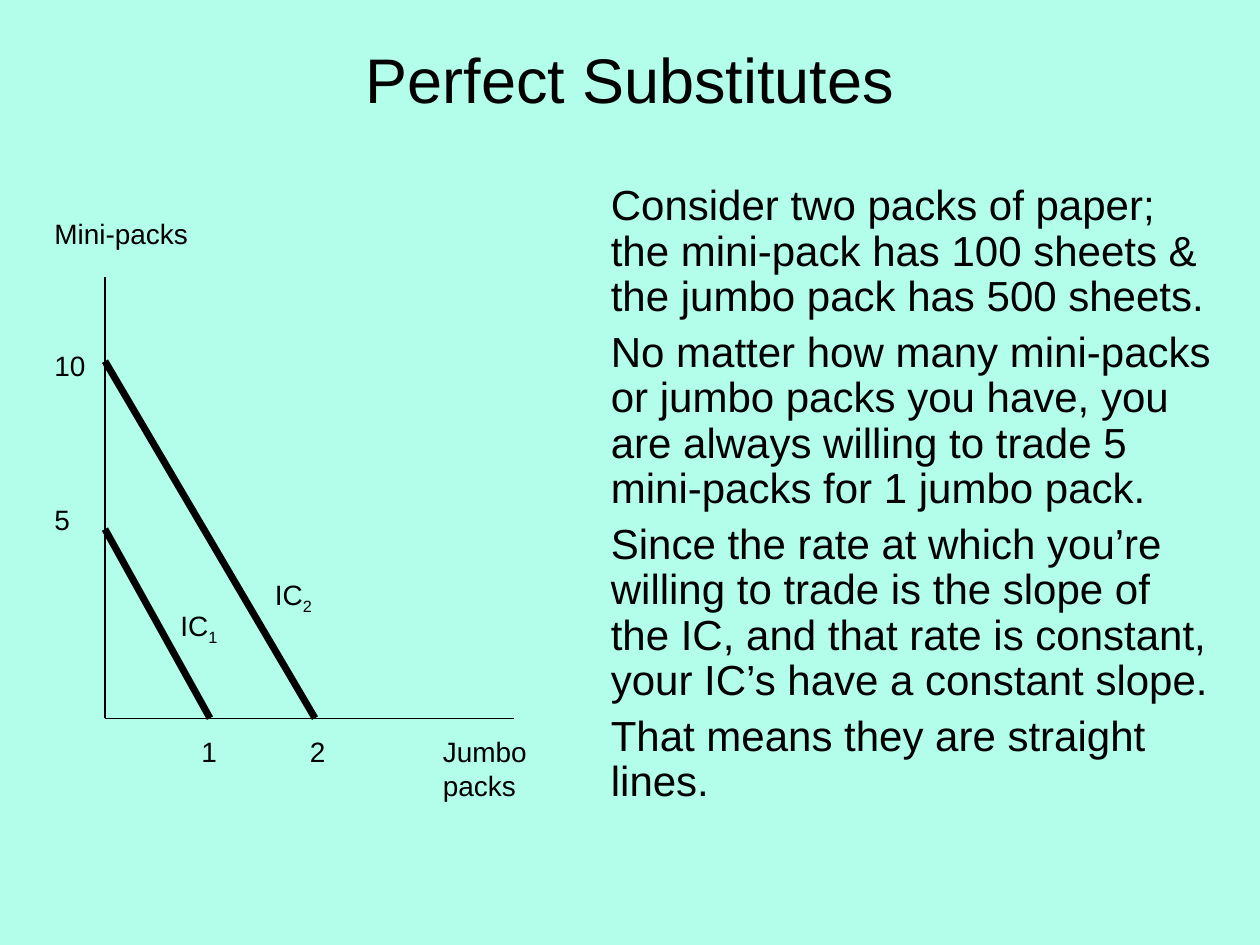
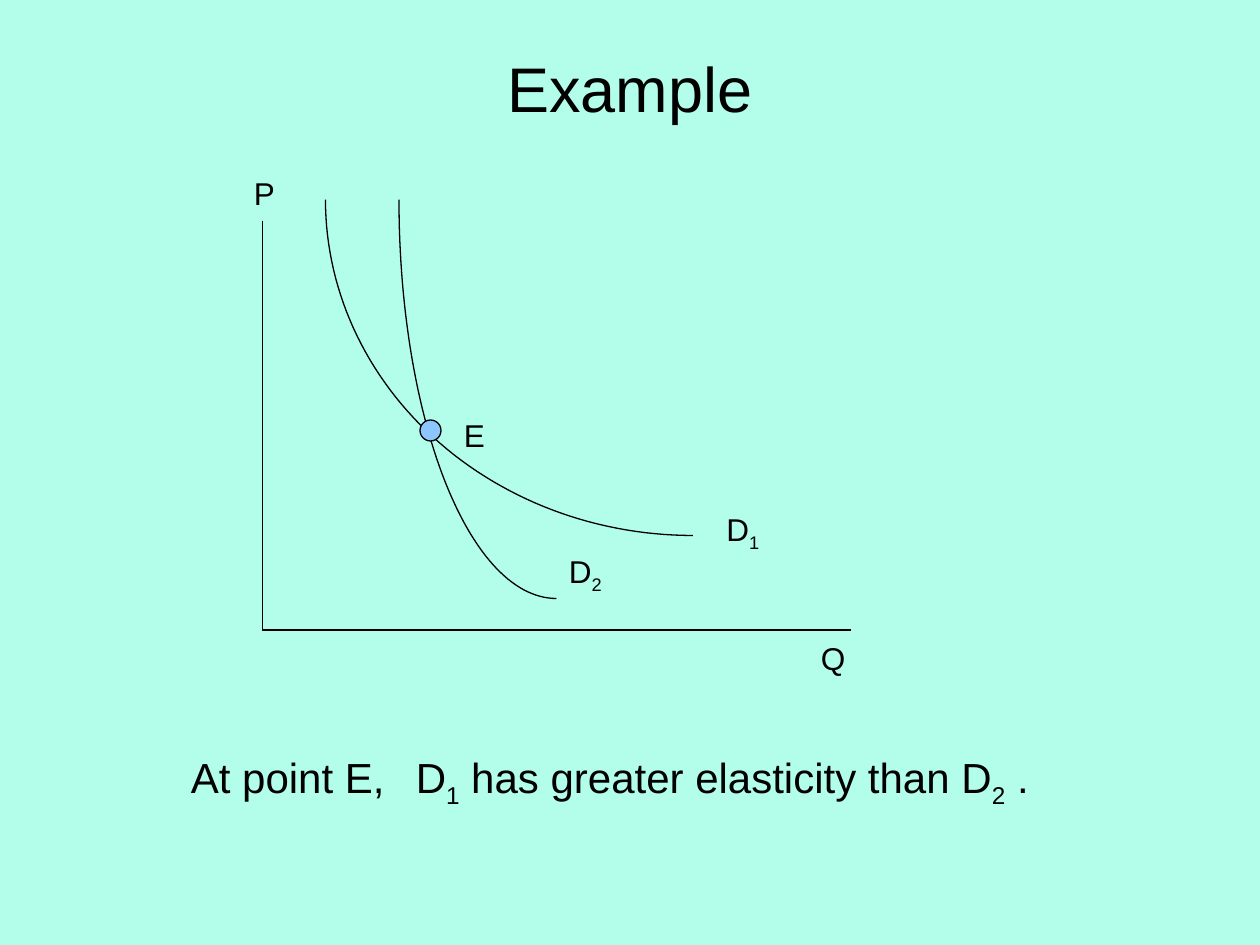
import math

from lxml import etree
from pptx import Presentation
from pptx import util as u
from pptx.dml.color import RGBColor
from pptx.enum import shapes, text
from pptx.oxml.ns import qn

MINT = RGBColor(0xB2, 0xFE, 0xEA)
BLACK = RGBColor(0, 0, 0)
SKY = RGBColor(0x8D, 0xC6, 0xFF)
FONT = "Arial"
THIN = 0.75
CURVE_STEPS = 60


def write(frame, lines, size=16, align=text.PP_ALIGN.LEFT, gap=0, spacing=None, tab=None):
    """Fill a text frame; the character after each underscore is a subscript."""
    for index, line in enumerate(lines):
        paragraph = frame.paragraphs[0] if index == 0 else frame.add_paragraph()
        if tab:
            tab_list = etree.SubElement(paragraph._p.get_or_add_pPr(), qn("a:tabLst"))
            etree.SubElement(tab_list, qn("a:tab"), pos=str(u.Pt(tab)), algn="l")
        paragraph.alignment = align
        paragraph.space_before = u.Pt(gap if index else 0)
        if spacing:
            paragraph.line_spacing = spacing
        first, *others = line.split("_")
        pieces = [(first, False)]
        for other in others:
            pieces += [(other[0], True), (other[1:], False)]
        for words, subscript in pieces:
            if not words:
                continue
            run = paragraph.add_run()
            run.text = words
            run.font.name, run.font.size = FONT, u.Pt(size)
            run.font.color.rgb = BLACK
            if subscript:
                run._r.get_or_add_rPr().set("baseline", "-25000")


class Deck:
    """Holds the shared style and the current slide."""

    def __init__(self):
        self.presentation = Presentation()
        self.presentation.slide_width = u.Pt(720)
        self.presentation.slide_height = u.Pt(540)
        background = self.presentation.slide_master.background.fill
        background.solid()
        background.fore_color.rgb = MINT
        self.slide = None

    def add_slide(self, title, top, height):
        self.slide = self.presentation.slides.add_slide(self.presentation.slide_layouts[6])
        self.label([title], 36, top, 648, height, anchor=text.MSO_ANCHOR.MIDDLE,
                   size=36, align=text.PP_ALIGN.CENTER)

    def label(self, lines, left, top, width, height, anchor=text.MSO_ANCHOR.TOP, **style):
        box = self.slide.shapes.add_textbox(u.Pt(left), u.Pt(top), u.Pt(width), u.Pt(height))
        box.text_frame.word_wrap = True
        box.text_frame.vertical_anchor = anchor
        write(box.text_frame, lines, **style)

    def outline(self, shape, width=THIN):
        shape.line.color.rgb = BLACK
        shape.line.width = u.Pt(width)

    def line(self, start, end, width=THIN):
        connector = self.slide.shapes.add_connector(
            shapes.MSO_CONNECTOR.STRAIGHT, *(u.Pt(value) for value in (*start, *end)))
        self.outline(connector, width)
        etree.SubElement(connector._element.spPr, qn("a:effectLst"))

    def axes(self, origin, top, right):
        self.line((origin[0], top), origin)
        self.line(origin, (right, origin[1]))

    def curve(self, left, top, width, height):
        """Draw the lower left quarter of an ellipse."""
        points = []
        for step in range(CURVE_STEPS + 1):
            angle = math.pi / 2 * step / CURVE_STEPS
            points.append((u.Pt(left + width * (1 - math.cos(angle))),
                           u.Pt(top + height * math.sin(angle))))
        builder = self.slide.shapes.build_freeform(*points[0])
        builder.add_line_segments(points[1:], close=False)
        shape = builder.convert_to_shape()
        shape.shadow.inherit = False
        shape.fill.background()
        self.outline(shape)

    def dot(self, left, top, size):
        shape = self.slide.shapes.add_shape(
            shapes.MSO_SHAPE.OVAL, u.Pt(left), u.Pt(top), u.Pt(size), u.Pt(size))
        shape.shadow.inherit = False
        shape.fill.solid()
        shape.fill.fore_color.rgb = SKY
        self.outline(shape)


def perfect_substitutes(deck):
    deck.add_slide("Perfect Substitutes", 0, 90)
    deck.label([
        "Consider two packs of paper; the mini-pack has 100 sheets & "
        "the jumbo pack has 500 sheets.",
        "No matter how many mini-packs or jumbo packs you have, you are always "
        "willing to trade 5 mini-packs for 1 jumbo pack.",
        "Since the rate at which you’re willing to trade is the slope of the IC, "
        "and that rate is constant, your IC’s have a constant slope.",
        "That means they are straight lines.",
    ], 342, 102, 360, 372, size=24, gap=6, spacing=0.9)

    # Axes and their labels
    origin = (60, 410.4)
    deck.axes(origin, top=158.4, right=294)
    deck.label(["Mini-packs"], 24, 120, 96, 26.6)
    deck.label(["Jumbo packs"], 246, 416.4, 66, 46)
    deck.label(["1\t2"], 108, 416.4, 114, 26.6, tab=62)
    deck.label(["10", "5"], 24, 195.4, 42, 114.5, gap=69.2)

    # Indifference curves
    deck.label(["IC_1"], 96, 344.4, 60, 29.5)
    deck.label(["IC_2"], 150, 326.4, 60, 29.5)
    for height, reach in ((302.4, 120), (206.4, 180)):
        deck.line((origin[0], height), (reach, origin[1]), width=4)


def elasticity_example(deck):
    deck.add_slide("Example", 21.6, 56.2)
    deck.label(["At point E,\tD_1 has greater elasticity than D_2 ."],
               102, 426, 522, 40.3, size=24, tab=128.5)

    # Axes, demand curves and the point where they cross
    deck.axes((150, 360), top=126, right=486)
    deck.curve(186, 114, 210, 192)
    deck.curve(228, 114, 90, 228)
    deck.dot(240, 240, 12)

    # Labels of the diagram
    for name, left, top in (("P", 138, 96), ("Q", 462, 361.4), ("E", 258, 234),
                            ("D_2", 318, 312), ("D_1", 408, 288)):
        deck.label([name], left, top, 42, 29, size=18)


def main():
    deck = Deck()
    perfect_substitutes(deck)
    elasticity_example(deck)
    deck.presentation.save("out.pptx")


if __name__ == "__main__":
    main()
